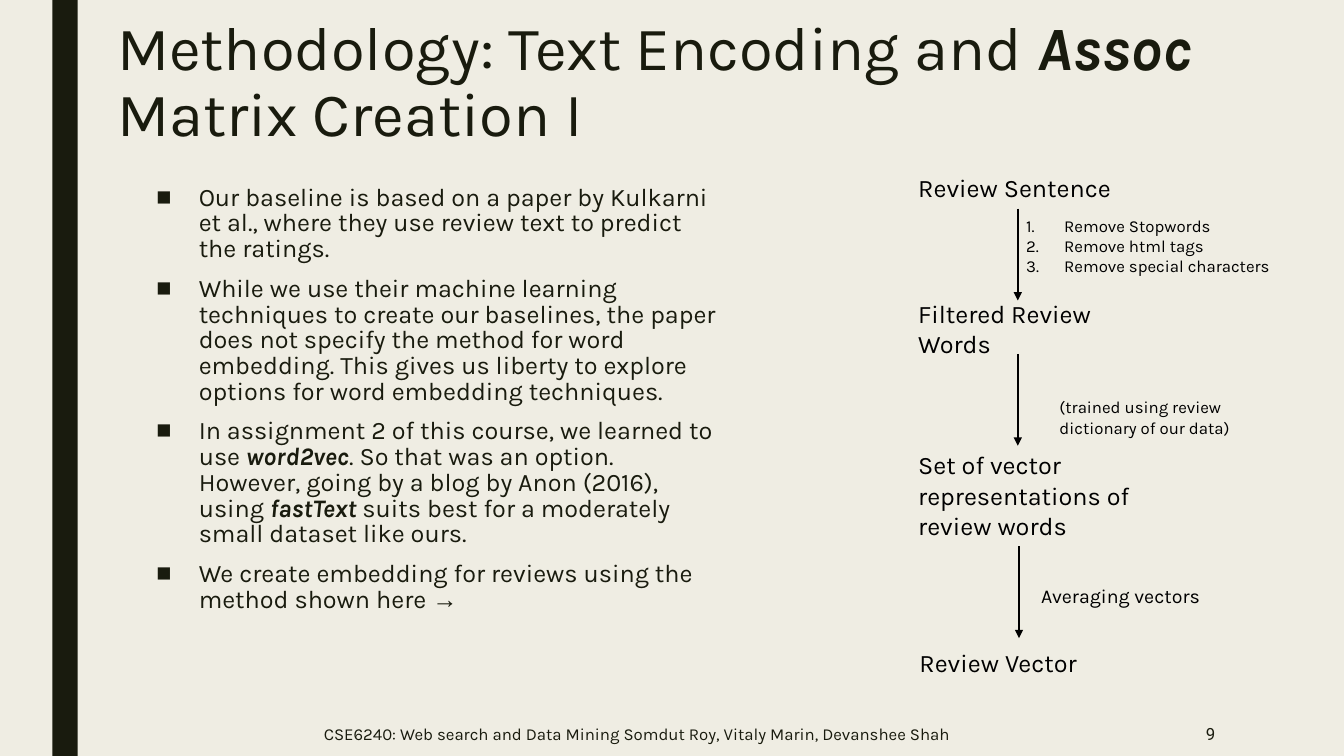
from lxml import etree
from pptx import Presentation, util as u
from pptx.dml.color import RGBColor
from pptx.enum import shapes, text
from pptx.oxml.ns import qn

DARK, BLACK, PAPER = "191B0E", "000000", "EFEDE3"
STRONG, ARROW = {"bold": True, "italic": True}, {"font": "Arial"}

TITLE = [[("Methodology: Text Encoding and ", {}), ("Assoc", STRONG), (" Matrix Creation I", {})]]
BODY = [
    "Our baseline is based on a paper by Kulkarni et al., where they use review text "
    "to predict the ratings.",
    "While we use their machine learning techniques to create our baselines, the paper "
    "does not specify the method for word embedding. This gives us liberty to explore "
    "options for word embedding techniques.",
    [("In assignment 2 of this course, we learned to use ", {}), ("word2vec", STRONG),
     (". So that was an option. However, going by a blog by Anon (2016), using ", {}),
     ("fastText", STRONG), (" suits best for a moderately small dataset like ours.", {})],
    [("We create embedding for reviews using the method shown here ", {}), ("→", ARROW)],
]
FOOTER = ["CSE6240: Web search and Data Mining Somdut Roy, Vitaly Marin, Devanshee Shah"]
PAGE = ["9"]
STAGES = [
    ("Review Sentence", (23.01, 4.22, 5.28, 1.02)),
    ("Filtered Review Words", (23.01, 7.39, 6.22, 1.78)),
    ("Set of vector representations of review words", (23.01, 11.2, 7.06, 2.57)),
    ("Review Vector", (23.04, 16.18, 5.28, 1.02)),
]
FILTERS = ["Remove Stopwords", "Remove html tags", "Remove special characters"]
TRAINING = ["(trained using review dictionary of our data)"]
AVERAGING = ["Averaging vectors"]
ARROWS = [(25.65, 5.26), (25.65, 8.92), (25.68, 13.77)]
ARROW_LENGTH = 2.31


def color(code):
    return RGBColor.from_string(code)


def add_mark(paragraph, mark, indent):
    properties = paragraph._p.get_or_add_pPr()
    properties.set("marL", str(u.Cm(indent)))
    properties.set("indent", str(-u.Cm(indent)))
    if mark == "1.":
        etree.SubElement(properties, qn("a:buAutoNum"), type="arabicPeriod")
    else:
        etree.SubElement(properties, qn("a:buFont"), typeface="Arial")
        etree.SubElement(properties, qn("a:buChar"), char=mark)


def write(slide, paragraphs, place, size=18, ink=BLACK, font="Karla", spacing=None,
          before=0, mark=None, indent=0, middle=False, right=False, wrap=True):
    frame = slide.shapes.add_textbox(*map(u.Cm, place)).text_frame
    frame.word_wrap = wrap
    frame.margin_left = frame.margin_right = u.Cm(0.13)
    frame.margin_top = frame.margin_bottom = u.Cm(0.13)
    frame.vertical_anchor = text.MSO_ANCHOR.MIDDLE if middle else text.MSO_ANCHOR.TOP
    for number, runs in enumerate(paragraphs):
        paragraph = frame.add_paragraph() if number else frame.paragraphs[0]
        if mark:
            add_mark(paragraph, mark, indent)
        if spacing:
            paragraph.line_spacing = spacing
        if before and number:
            paragraph.space_before = u.Pt(before)
        paragraph.alignment = text.PP_ALIGN.RIGHT if right else text.PP_ALIGN.LEFT
        for words, style in [(runs, {})] if isinstance(runs, str) else runs:
            run = paragraph.add_run()
            run.text = words
            run.font.size = u.Pt(size)
            run.font.name = style.get("font", font)
            run.font.bold = style.get("bold", False)
            run.font.italic = style.get("italic", False)
            run.font.color.rgb = color(ink)


def add_arrow(slide, x, top):
    arrow = slide.shapes.add_connector(
        shapes.MSO_CONNECTOR.STRAIGHT, u.Cm(x), u.Cm(top), u.Cm(x), u.Cm(top + ARROW_LENGTH))
    arrow.line.color.rgb = color(BLACK)
    arrow.line.width = u.Pt(1.5)
    etree.SubElement(arrow.line._get_or_add_ln(), qn("a:tailEnd"), type="triangle")
    etree.SubElement(arrow._element.spPr, qn("a:effectLst"))


def main():
    """Build the methodology slide and save it."""
    deck = Presentation()
    deck.slide_width, deck.slide_height = u.Cm(33.87), u.Cm(19.05)
    slide = deck.slides.add_slide(deck.slide_layouts[6])
    slide.background.fill.solid()
    slide.background.fill.fore_color.rgb = color(PAPER)

    band = slide.shapes.add_shape(
        shapes.MSO_SHAPE.RECTANGLE, u.Cm(1.32), 0, u.Cm(0.64), deck.slide_height)
    band.shadow.inherit = False
    band.fill.solid()
    band.fill.fore_color.rgb = color(DARK)
    band.line.fill.background()

    write(slide, TITLE, (2.82, 0.33, 30.18, 4.06), size=44, ink=DARK, spacing=0.89)
    write(slide, BODY, (3.81, 4.55, 14.5, 11.76), ink=DARK, spacing=0.85, before=10,
          mark="■", indent=1.07)
    write(slide, FOOTER, (8.03, 18.11, 17.45, 0.74), size=12, ink=DARK, middle=True)
    write(slide, PAGE, (30.23, 18.11, 0.53, 0.74), size=12, ink=DARK, font="Roboto",
          middle=True, right=True, wrap=False)

    for stage, place in STAGES:
        write(slide, [stage], place)
    for x, top in ARROWS:
        add_arrow(slide, x, top)
    write(slide, FILTERS, (25.73, 5.31, 6.5, 1.73), size=12, mark="1.", indent=0.96)
    write(slide, TRAINING, (26.57, 9.88, 4.83, 1.22), size=12)
    write(slide, AVERAGING, (26.11, 14.58, 6.22, 0.81), size=14)
    deck.save("out.pptx")


if __name__ == "__main__":
    main()
